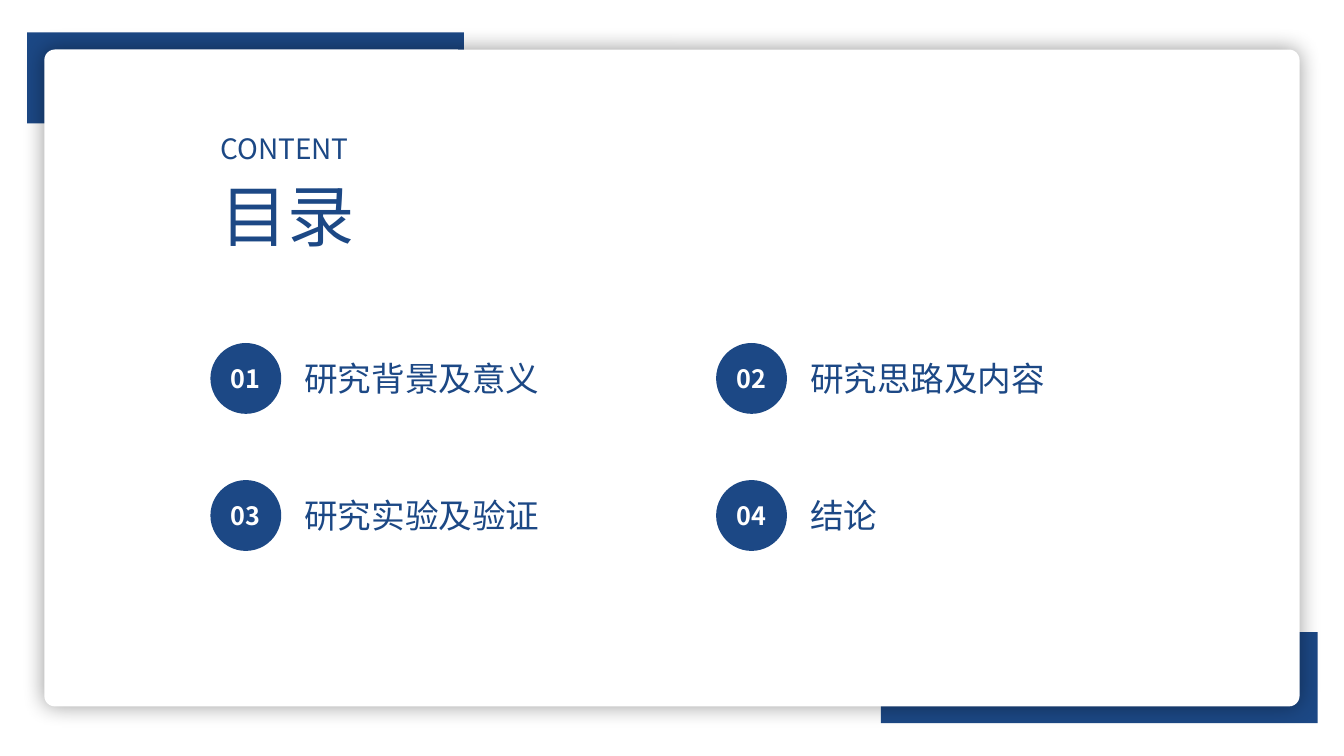
from lxml import etree
from pptx import Presentation
from pptx.dml.color import RGBColor
from pptx.enum.shapes import MSO_SHAPE
from pptx.enum.text import MSO_ANCHOR, MSO_AUTO_SIZE, PP_ALIGN
from pptx.oxml.ns import qn
from pptx.util import Pt

RECT, ROUND, OVAL = MSO_SHAPE.RECTANGLE, MSO_SHAPE.ROUNDED_RECTANGLE, MSO_SHAPE.OVAL
MIDDLE, FIT = MSO_ANCHOR.MIDDLE, MSO_AUTO_SIZE.SHAPE_TO_FIT_TEXT
CENTER, JUSTIFY = PP_ALIGN.CENTER, PP_ALIGN.JUSTIFY

COLORS = {"navy": "1C4885", "white": "FFFFFF", "black": "000000"}
FONT = "Noto Sans CJK SC"
TOPICS = ["研究背景及意义", "研究思路及内容", "研究实验及验证", "结论"]


def write(tf, text, size=24, color="navy", bold=False, align=JUSTIFY):
    p = tf.paragraphs[0]
    p.alignment = align
    r = p.add_run()
    r.text = text
    r.font.size = Pt(size)
    r.font.bold = bold
    r.font.name = FONT
    r.font.color.rgb = RGBColor.from_string(COLORS[color])
    ea = etree.SubElement(r.font._element, qn("a:ea"))
    ea.set("typeface", FONT)


class Deck:
    def __init__(self, prs):
        self.s = prs.slides.add_slide(prs.slide_layouts[6])

    def shape(self, kind, x, y, w, h, color="navy"):
        sp = self.s.shapes.add_shape(kind, Pt(x), Pt(y), Pt(w), Pt(h))
        sp.shadow.inherit = False
        sp.fill.solid()
        sp.fill.fore_color.rgb = RGBColor.from_string(COLORS[color])
        sp.line.fill.background()
        return sp

    def card(self, x, y, w, h):
        sp = self.shape(ROUND, x, y, w, h, "white")
        sp.adjustments[0] = 0.016
        effects = sp._element.spPr.find(qn("a:effectLst"))
        shadow = etree.SubElement(effects, qn("a:outerShdw"), blurRad=str(Pt(15)),
                                  algn="ctr", rotWithShape="0")
        black = etree.SubElement(shadow, qn("a:srgbClr"), val=COLORS["black"])
        etree.SubElement(black, qn("a:alpha"), val="40000")

    def badge(self, x, y, d, text):
        sp = self.shape(OVAL, x, y, d, d)
        tf = sp.text_frame
        tf.vertical_anchor = MIDDLE
        write(tf, text, size=18, color="white", bold=True, align=CENTER)

    def label(self, x, y, w, h, text, size=24):
        tf = self.s.shapes.add_textbox(Pt(x), Pt(y), Pt(w), Pt(h)).text_frame
        tf.word_wrap = True
        tf.auto_size = FIT
        write(tf, text, size=size)


def main():
    prs = Presentation()
    prs.slide_width, prs.slide_height = Pt(960), Pt(540)
    deck = Deck(prs)

    deck.shape(RECT, 629.2, 451.5, 312, 65)
    deck.shape(RECT, 19.4, 23.1, 312, 65)
    deck.card(31.7, 35.4, 896.6, 469.2)

    left = 150.3
    deck.label(left, 121, 183, 65.5, "目录", size=48)
    deck.label(left, 90.7, 183, 31.5, "CONTENT", size=20)

    for i, topic in enumerate(TOPICS):
        row, col = divmod(i, 2)
        x, y = left + col * 361.2, 245 + row * 97.9
        deck.badge(x, y, 50.6, f"{i + 1:02d}")
        deck.label(x + 60, y + 7.1, 291.6, 36, topic)

    prs.save("out.pptx")


if __name__ == "__main__":
    main()
